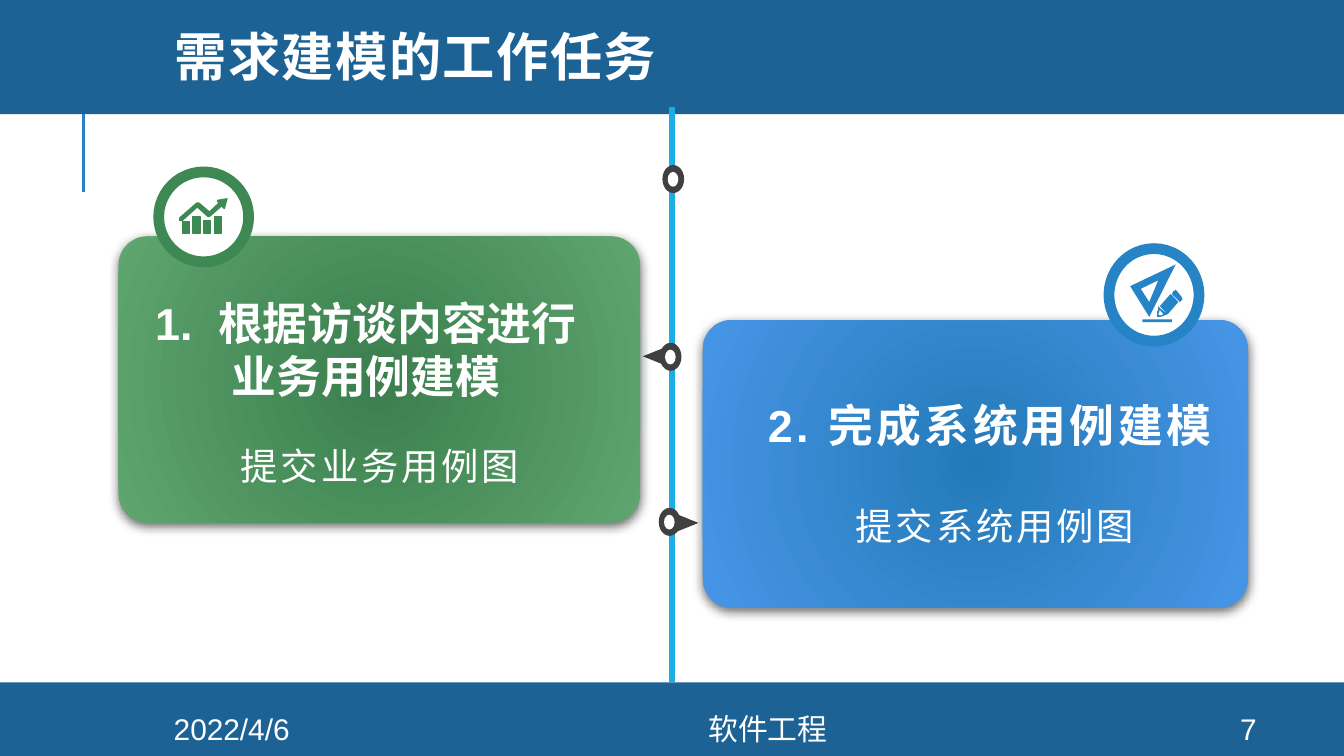
"""Build the slide on the tasks of requirements modelling."""
from pptx import Presentation
from pptx.dml.color import RGBColor
from pptx.enum.shapes import MSO_CONNECTOR, MSO_SHAPE
from pptx.enum.text import MSO_ANCHOR, PP_ALIGN
from pptx.oxml import parse_xml
from pptx.oxml.ns import nsdecls, qn
from pptx.oxml.xmlchemy import OxmlElement
from pptx.util import Cm, Pt

WHITE = RGBColor(0xFF, 0xFF, 0xFF)
NAVY = RGBColor(0x1D, 0x62, 0x94)
BLUE = RGBColor(0x26, 0x83, 0xC6)
CYAN = RGBColor(0x1C, 0xAD, 0xE4)
CHARCOAL = RGBColor(0x40, 0x40, 0x40)
GREEN = RGBColor(0x3E, 0x88, 0x53)
GREEN_CARD = (RGBColor(0x3A, 0x7F, 0x4D), RGBColor(0x5F, 0xA5, 0x6F))
BLUE_CARD = (RGBColor(0x23, 0x7A, 0xB8), RGBColor(0x48, 0x95, 0xE7))

SLIDE_WIDTH, SLIDE_HEIGHT = 25.4, 14.29
HEADER_HEIGHT, FOOTER_TOP = 2.16, 12.9
MIDDLE = SLIDE_WIDTH / 2

BAR_TOPS = (43, 33, 41, 33)
GROWTH_ICON = [
    [(left, top), (left + 13, top), (left + 13, 66), (left, 66)]
    for left, top in zip(range(5, 86, 20), BAR_TOPS)
] + [
    [(0, 36), (32, 8), (36, 8), (56, 25), (74, 8), (71, 3), (89, 0), (84, 18),
     (79, 13), (56, 33), (53, 33), (33, 15), (4, 41), (0, 41)],
]
DESIGN_ICON = [
    [(23, 104), (79, 104), (79, 109), (23, 109)],
    [(86, 0), (0, 41), (36, 99)],
    [(20, 46), (53, 30), (36, 71)],
    [(97, 61), (89, 51), (86, 48), (81, 51), (79, 56), (94, 71), (99, 66)],
    [(51, 94), (51, 99), (58, 99), (71, 94), (58, 84), (53, 79), (53, 86), (51, 89)],
    [(53, 94), (56, 86), (63, 94), (56, 97)],
    [(79, 58), (76, 56), (56, 79), (71, 94), (91, 71)],
]


def write(frame, text, number=None, size=16, bold=False, spacing=0, font="Arial",
          align=PP_ALIGN.CENTER, line_spacing=None):
    """Write one paragraph, with an optional number set apart before it."""
    paragraph = frame.paragraphs[0]
    paragraph.alignment = align
    if line_spacing:
        paragraph.line_spacing = line_spacing
    pieces = [(text, spacing)]
    if number:
        pieces = [(number, 0), (" ", 7)] + pieces
    for piece, gap in pieces:
        run = paragraph.add_run()
        run.text = piece
        run.font.name = font
        run.font.size = Pt(size)
        run.font.bold = bold
        run.font.color.rgb = WHITE
        if gap:
            run.font._element.set("spc", str(round(gap * 100)))


class SlideBuilder:
    """Hold the current slide and draw its elements, measured in centimetres."""

    def __init__(self, slide):
        """Keep the slide to draw on."""
        self.slide = slide

    def paint(self, shape, fill, line=None, width=0.75):
        """Give a shape a plain fill, an optional outline and no shadow."""
        shape.shadow.inherit = False
        shape.fill.solid()
        shape.fill.fore_color.rgb = fill
        if line is None:
            shape.line.fill.background()
        else:
            shape.line.color.rgb = line
            shape.line.width = Pt(width)
        return shape

    def shape(self, kind, left, top, width, height, fill, line=None, line_width=0.75):
        """Draw a preset shape."""
        shape = self.slide.shapes.add_shape(kind, Cm(left), Cm(top), Cm(width), Cm(height))
        return self.paint(shape, fill, line, line_width)

    def line(self, x, top, bottom, color, width):
        """Draw a vertical line."""
        connector = self.slide.shapes.add_connector(
            MSO_CONNECTOR.STRAIGHT, Cm(x), Cm(top), Cm(x), Cm(bottom))
        connector.line.color.rgb = color
        connector.line.width = Pt(width)
        connector._element.spPr.append(OxmlElement("a:effectLst"))
        return connector

    def card(self, left, top, width, height, colors):
        """Draw a rounded card with a radial gradient and a soft shadow."""
        card = self.shape(MSO_SHAPE.ROUNDED_RECTANGLE, left, top, width, height, colors[0])
        card.adjustments[0] = 0.1
        card.fill.gradient()
        for stop, color in zip(card.fill.gradient_stops, colors):
            stop.color.rgb = color
        properties = card._element.spPr
        gradient = properties.find(qn("a:gradFill"))
        gradient.replace(gradient.find(qn("a:lin")), parse_xml(
            f'<a:path {nsdecls("a")} path="circle">'
            '<a:fillToRect l="50000" t="50000" r="50000" b="50000"/></a:path>'))
        properties.find(qn("a:effectLst")).append(parse_xml(
            f'<a:outerShdw {nsdecls("a")} blurRad="{Pt(6)}" dist="{Pt(2)}" dir="5400000" '
            'rotWithShape="0"><a:srgbClr val="000000"><a:alpha val="60000"/>'
            '</a:srgbClr></a:outerShdw>'))

    def icon(self, left, top, outlines, color, line=None):
        """Draw an icon from closed outlines given in tenths of a millimetre."""
        builder = self.slide.shapes.build_freeform(*outlines[0][0], scale=Cm(0.01))
        for index, outline in enumerate(outlines):
            if index:
                builder.move_to(*outline[0])
            builder.add_line_segments(outline[1:], close=True)
        self.paint(builder.convert_to_shape(Cm(left), Cm(top)), color, line)

    def badge(self, left, top, height, color):
        """Draw the white disc with a thick ring behind an icon."""
        self.shape(MSO_SHAPE.OVAL, left, top, 1.7, height, WHITE, color, 5.75)

    def pointer(self, left, top, rotation):
        """Draw a small triangle pointing from the centre line to a card."""
        pointer = self.shape(MSO_SHAPE.ISOSCELES_TRIANGLE, left, top, 0.33, 0.41, CHARCOAL)
        pointer.rotation = rotation

    def marker(self, left, top):
        """Draw a ring on the centre line."""
        self.shape(MSO_SHAPE.OVAL, left, top, 0.41, 0.53, CHARCOAL)
        self.shape(MSO_SHAPE.OVAL, left + 0.1, top + 0.13, 0.2, 0.28, WHITE)

    def text(self, left, top, width, height, text, anchor=MSO_ANCHOR.TOP, **style):
        """Place a wrapped text box."""
        box = self.slide.shapes.add_textbox(Cm(left), Cm(top), Cm(width), Cm(height))
        box.text_frame.word_wrap = True
        box.text_frame.vertical_anchor = anchor
        write(box.text_frame, text, **style)


def main():
    """Build and save the presentation."""
    presentation = Presentation()
    presentation.slide_width = Cm(SLIDE_WIDTH)
    presentation.slide_height = Cm(SLIDE_HEIGHT)
    builder = SlideBuilder(presentation.slides.add_slide(presentation.slide_layouts[6]))

    builder.line(1.58, 1.73, 3.63, BLUE, 1.5)
    footer = builder.shape(MSO_SHAPE.RECTANGLE, 0, FOOTER_TOP, SLIDE_WIDTH,
                           SLIDE_HEIGHT - FOOTER_TOP, NAVY)
    builder.shape(MSO_SHAPE.RECTANGLE, 0, 0, SLIDE_WIDTH, HEADER_HEIGHT, NAVY)
    builder.line(MIDDLE, 2.03, FOOTER_TOP, CYAN, 3).end_connect(footer, 0)

    builder.pointer(12.19, 6.53, 270)
    builder.pointer(12.83, 9.68, 90)
    builder.card(2.24, 4.47, 9.86, 5.41, GREEN_CARD)
    builder.card(13.28, 6.05, 10.31, 5.44, BLUE_CARD)
    builder.badge(3, 3.25, 1.7, GREEN)
    builder.icon(3.4, 3.76, GROWTH_ICON, GREEN, GREEN)
    builder.badge(20.96, 4.7, 1.75, BLUE)
    builder.icon(21.36, 5, DESIGN_ICON, BLUE)
    for left, top in ((12.52, 3.12), (12.47, 6.48), (12.45, 9.6)):
        builder.marker(left, top)

    heading = {"size": 24, "bold": True}
    result = {"size": 20, "spacing": 1.5, "line_spacing": 1.5}
    builder.text(15.39, 8.97, 6.83, 1.55, "提交系统用例图", **result)
    builder.text(13.79, 7.39, 9.83, 1.27, "2. 完成系统用例建模", spacing=1.9, **heading)
    builder.text(3.68, 7.82, 7.01, 1.55, "提交业务用例图", **result)
    builder.text(2.51, 5.46, 8.81, 2.31, "根据访谈内容进行业务用例建模", number="1.", **heading)
    builder.text(3.05, 0, 21.56, 2.31, "需求建模的工作任务", MSO_ANCHOR.MIDDLE, size=28, bold=True,
                 spacing=0.8, font="Montserrat", align=PP_ALIGN.LEFT, line_spacing=0.8)
    for left, width, label in ((22.58, 2.03, "7"), (2.13, 4.5, "2022/4/6"),
                               (6.63, 15.77, "软件工程")):
        builder.text(left, 13.49, width, 0.58, label, MSO_ANCHOR.MIDDLE)

    presentation.save("out.pptx")


if __name__ == "__main__":
    main()
